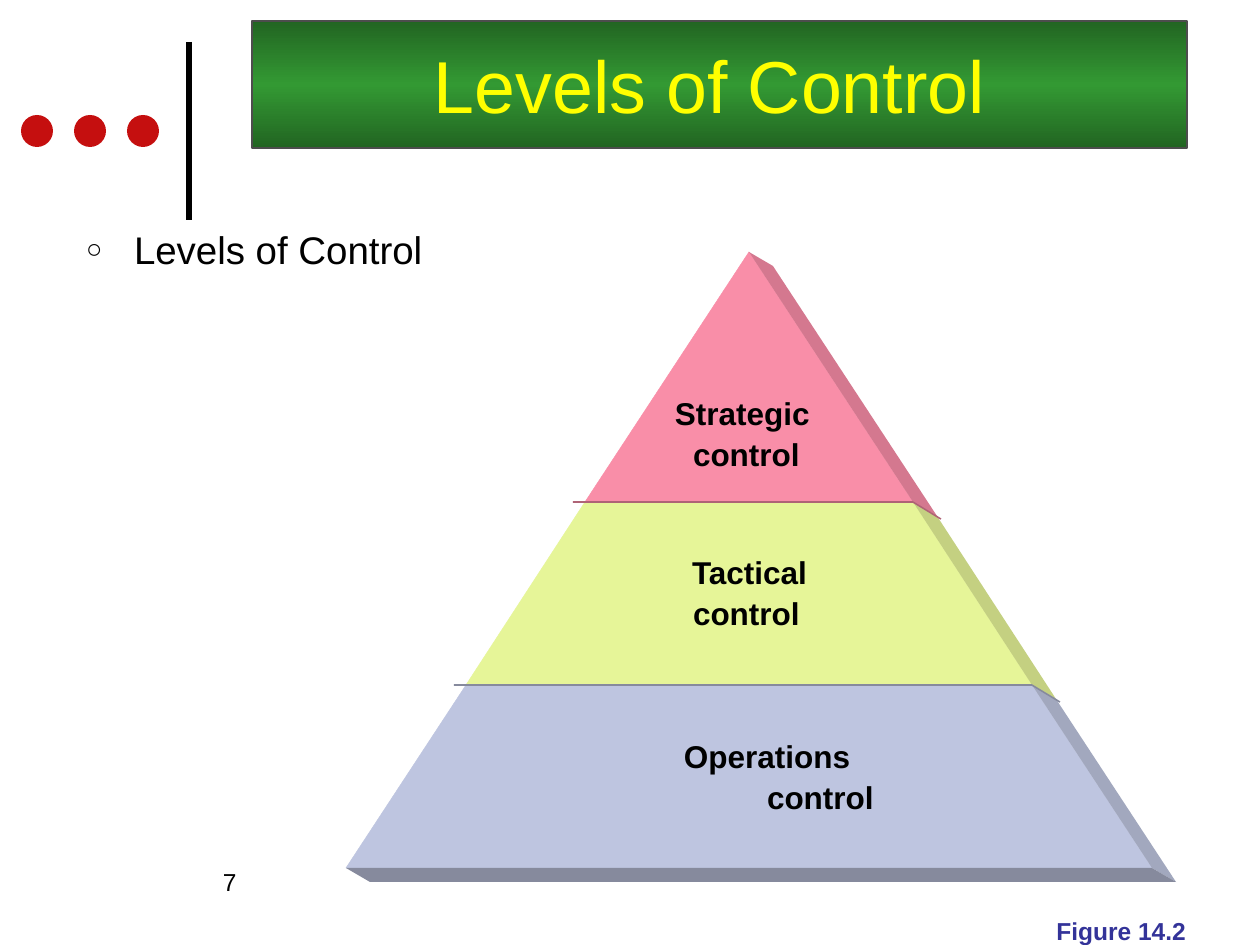
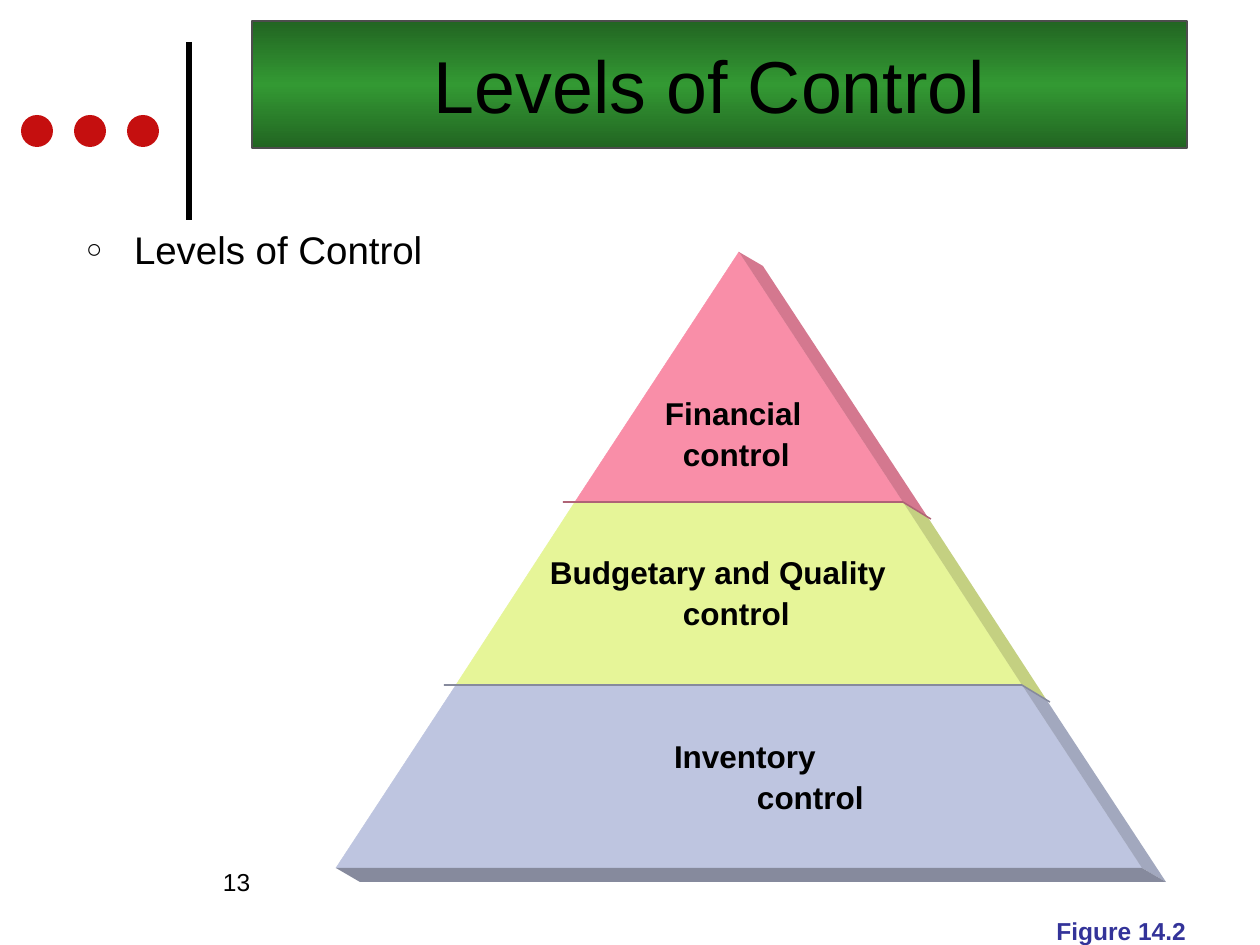
import copy

import pptx
import pptx.util
import pptx.dml.color
import pptx.enum.shapes
import pptx.enum.text
import pptx.oxml
import pptx.oxml.ns

EMU_PER_PX = 914400 / 126
FONT = "Arial"
COLOURS = {
    "ink": "000000",
    "dot": "C50F0F",
    "title": "FFFF00",
    "band edge": "226522",
    "band middle": "339933",
    "band line": "4D4D4D",
    "caption": "333399",
    "ground": "868A9D",
}
TIERS = [
    {"top": 0, "bottom": 250, "face": "F98EA8", "side": "D4788F", "rule": "AF6376"},
    {"top": 250, "bottom": 433, "face": "E6F598", "side": "C4D081", "rule": "868A9D"},
    {"top": 433, "bottom": 616, "face": "BEC5E0", "side": "A2A8BE", "rule": None},
]
HALF_WIDTH, HEIGHT = 403, 616
DEPTH = (24, 14)
RULE_OVERHANG, RULE_TAIL = 12, (28, 17)
LABEL_HEIGHT, LABEL_PITCH = 38, 41
SECOND_WORD = "control"
SECOND_WORD_WIDTH = 120

SLIDES = [
    {
        "number": "7",
        "title colour": COLOURS["title"],
        "pyramid": (346, 252),
        "labels": [
            ("Strategic", 329, 142, 150, 347),
            ("Tactical", 346, 301, 130, 347),
            ("Operations", 338, 485, 190, 421),
        ],
    },
    {
        "number": "13",
        "title colour": COLOURS["ink"],
        "pyramid": (336, 252),
        "labels": [
            ("Financial", 329, 142, 150, 347),
            ("Budgetary and Quality", 214, 301, 360, 347),
            ("Inventory", 338, 485, 160, 421),
        ],
    },
]


def px(length):
    return pptx.util.Emu(round(length * EMU_PER_PX))


def rgb(colour):
    return pptx.dml.color.RGBColor.from_string(colour)


def set_insets(frame, left, top, right, bottom):
    frame.margin_left, frame.margin_top = px(left), px(top)
    frame.margin_right, frame.margin_bottom = px(right), px(bottom)


def add_span(para, text, size, colour=COLOURS["ink"], bold=False):
    span = para.add_run()
    span.text = text
    span.font.name = FONT
    span.font.size = pptx.util.Pt(size)
    span.font.bold = bold
    span.font.color.rgb = rgb(colour)


def add_text(shapes, box, insets=(0, 0, 0, 0)):
    frame = shapes.add_textbox(*map(px, box)).text_frame
    frame.word_wrap = True
    set_insets(frame, *insets)
    return frame.paragraphs[0]


def add_outline(shapes, origin, points, fill=None, line=None, width=0.25):
    builder = shapes.build_freeform(*points[0], scale=EMU_PER_PX)
    builder.add_line_segments(points[1:], close=fill is not None)
    outline = builder.convert_to_shape(*map(px, origin))
    outline.shadow.inherit = False
    if fill:
        outline.fill.solid()
        outline.fill.fore_color.rgb = rgb(fill)
    else:
        outline.fill.background()
    if line:
        outline.line.color.rgb = rgb(line)
        outline.line.width = pptx.util.Pt(width)
    else:
        outline.line.fill.background()


def draw_emblem(page, box):
    left, top, width, height = box
    bar = page.shapes.add_connector(
        pptx.enum.shapes.MSO_CONNECTOR.STRAIGHT,
        px(left + width), px(top), px(left + width), px(top + height))
    bar.line.color.rgb = rgb(COLOURS["ink"])
    bar.line.width = pptx.util.Pt(3)
    bar.element.spPr.append(pptx.oxml.parse_xml(
        f'<a:effectLst {pptx.oxml.ns.nsdecls("a")}/>'))
    emblem = [bar]
    for index in range(3):
        dot = page.shapes.add_shape(
            pptx.enum.shapes.MSO_SHAPE.OVAL,
            px(left + 53 * index), px(top + 73), px(32), px(32))
        dot.shadow.inherit = False
        dot.fill.solid()
        dot.fill.fore_color.rgb = rgb(COLOURS["dot"])
        dot.line.fill.background()
        emblem.append(dot)
    return emblem


def share_emblem(page, layout):
    for holder in list(layout.placeholders):
        if holder.placeholder_format.idx:
            holder.element.getparent().remove(holder.element)
    for part in draw_emblem(page, (21, 42, 168, 178)):
        layout.shapes.element.append(part.element)


def format_title(page, box, colour):
    title = page.shapes.title
    title.left, title.top, title.width, title.height = map(px, box)
    title.fill.gradient()
    title.fill.gradient_angle = 90
    stop_list = title.element.spPr.find(".//" + pptx.oxml.ns.qn("a:gsLst"))
    stop_list.insert(1, copy.deepcopy(stop_list[0]))
    shades = ["band edge", "band middle", "band edge"]
    for index, (stop, shade) in enumerate(zip(title.fill.gradient_stops, shades)):
        stop.position = index / 2
        stop.color.rgb = rgb(COLOURS[shade])
    title.line.color.rgb = rgb(COLOURS["band line"])
    title.line.width = pptx.util.Pt(0.75)
    frame = title.text_frame
    frame.auto_size = pptx.enum.text.MSO_AUTO_SIZE.NONE
    frame.vertical_anchor = pptx.enum.text.MSO_ANCHOR.BOTTOM
    set_insets(frame, 13, 19, 33, 20)
    para = frame.paragraphs[0]
    para.alignment = pptx.enum.text.PP_ALIGN.CENTER
    add_span(para, "Levels of Control", 42, colour)


def add_bullet(page, box):
    para = add_text(page.shapes, box, (13, 6, 13, 6))
    para.space_before = pptx.util.Pt(5.5)
    add_span(para, "Levels of Control", 22)
    properties = para._p.get_or_add_pPr()
    properties.set("marL", str(px(48)))
    properties.set("indent", str(px(-48)))
    names = pptx.oxml.ns.nsdecls("a")
    for markup in (
        f'<a:buClr {names}><a:srgbClr val="{COLOURS["ink"]}"/></a:buClr>',
        f'<a:buSzPct {names} val="70000"/>',
        f'<a:buFont {names} typeface="{FONT}"/>',
        f'<a:buChar {names} char="○"/>',
    ):
        properties.append(pptx.oxml.parse_xml(markup))


def left_edge(depth):
    return HALF_WIDTH * (1 - depth / HEIGHT), depth


def right_edge(depth):
    return HALF_WIDTH * (1 + depth / HEIGHT), depth


def shifted(point, offset):
    return point[0] + offset[0], point[1] + offset[1]


def extrude(start, end):
    return [start, shifted(start, DEPTH), shifted(end, DEPTH), end]


def draw_pyramid(page, origin, labels):
    shapes = page.shapes.add_group_shape().shapes
    for tier in TIERS:
        top, bottom = tier["top"], tier["bottom"]
        face = [left_edge(top), right_edge(top), right_edge(bottom), left_edge(bottom)]
        add_outline(shapes, origin, face, tier["face"], tier["face"])
        add_outline(shapes, origin, extrude(right_edge(top), right_edge(bottom)), tier["side"])
    add_outline(shapes, origin, extrude(left_edge(HEIGHT), right_edge(HEIGHT)), COLOURS["ground"])
    for tier in TIERS[:-1]:
        corner = right_edge(tier["bottom"])
        start = shifted(left_edge(tier["bottom"]), (-RULE_OVERHANG, 0))
        rule = [start, corner, shifted(corner, RULE_TAIL)]
        add_outline(shapes, origin, rule, line=tier["rule"], width=0.88)
    for word, left, top, width, second_left in labels:
        lines = [
            (word, left, top, width),
            (SECOND_WORD, second_left, top + LABEL_PITCH, SECOND_WORD_WIDTH),
        ]
        for text, x, y, line_width in lines:
            box = (*shifted(origin, (x, y)), line_width, LABEL_HEIGHT)
            add_span(add_text(shapes, box), text, 18, bold=True)


def add_footer(page, number_box, caption_box, number):
    add_span(add_text(page.shapes, number_box, (13, 6, 13, 6)), number, 14)
    caption = add_text(page.shapes, caption_box)
    caption.alignment = pptx.enum.text.PP_ALIGN.RIGHT
    caption.space_before = pptx.util.Pt(8.8)
    add_span(caption, "Figure 14.2", 14, COLOURS["caption"], bold=True)


def build_slide(page, content):
    format_title(page, (252, 21, 935, 127), content["title colour"])
    add_bullet(page, (73, 220, 1113, 672))
    draw_pyramid(page, content["pyramid"], content["labels"])
    add_footer(page, (210, 861, 179, 63), (1018, 916, 168, 29), content["number"])


def main():
    deck = pptx.Presentation()
    deck.slide_width, deck.slide_height = px(1260), px(945)
    layout = deck.slide_layouts.get_by_name("Title Only")
    pages = [deck.slides.add_slide(layout) for _ in SLIDES]
    share_emblem(pages[0], layout)
    for page, content in zip(pages, SLIDES):
        build_slide(page, content)
    deck.save("out.pptx")


if __name__ == "__main__":
    main()
